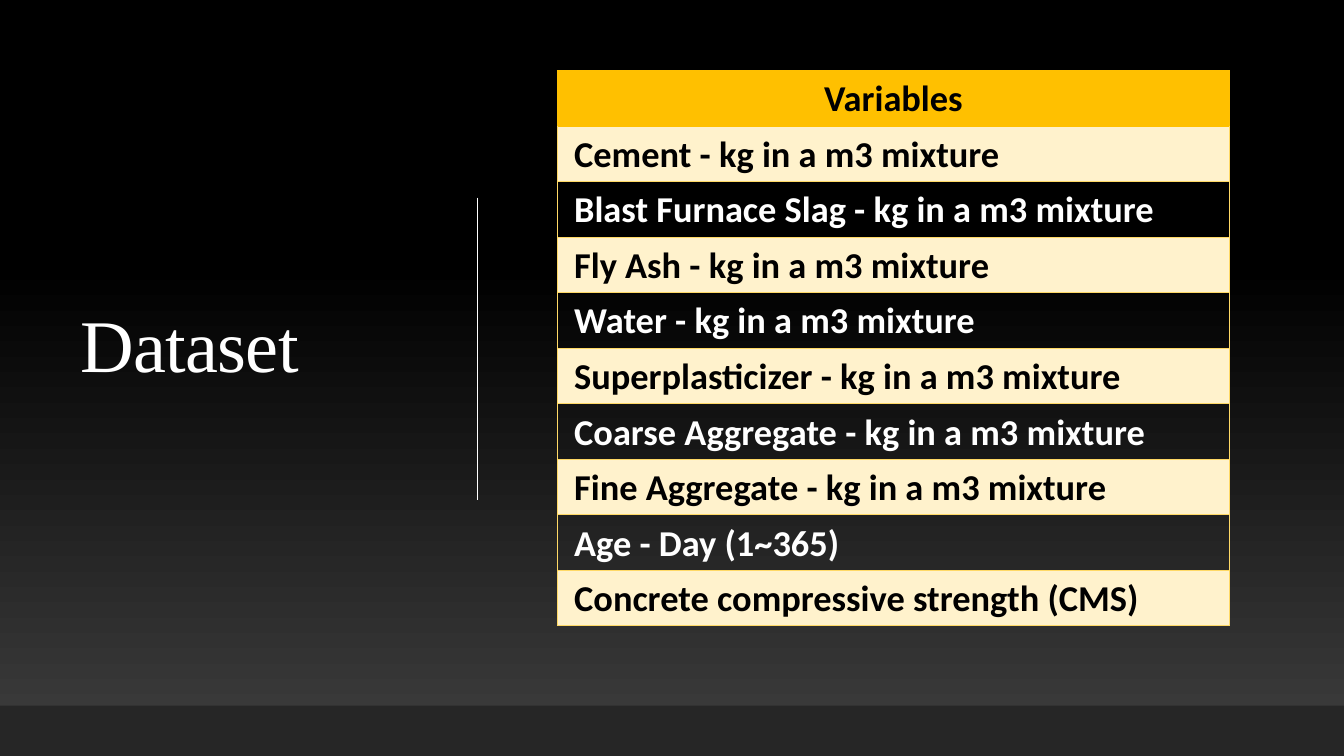
from dataclasses import dataclass

from lxml import etree
from pptx import Presentation
from pptx.dml.color import RGBColor
from pptx.dml.fill import FillFormat
from pptx.enum.shapes import MSO_CONNECTOR, MSO_SHAPE
from pptx.enum.text import MSO_ANCHOR, PP_ALIGN
from pptx.oxml.ns import qn
from pptx.shapes.autoshape import Shape
from pptx.slide import Slide
from pptx.table import _Cell
from pptx.text.text import Font
from pptx.util import Cm, Pt

LINE = MSO_CONNECTOR.STRAIGHT
RECT = MSO_SHAPE.RECTANGLE
MIDDLE = MSO_ANCHOR.MIDDLE
LEFT, CENTER = PP_ALIGN.LEFT, PP_ALIGN.CENTER

BLACK = RGBColor(0x00, 0x00, 0x00)
WHITE = RGBColor(0xFF, 0xFF, 0xFF)
GREY = RGBColor(0x3F, 0x3F, 0x3F)
DARK = RGBColor(0x26, 0x26, 0x26)
GOLD = RGBColor(0xFF, 0xC0, 0x00)
SAND = RGBColor(0xFF, 0xD9, 0x66)
CREAM = RGBColor(0xFF, 0xF2, 0xCC)

WIDTH, HEIGHT = Cm(33.87), Cm(19.05)
FOOT = Cm(1.27)
ROW = Cm(1.4)

TITLE_FONT = {"name": "Times New Roman", "size": Pt(53)}
CELL_FONT = {"name": "Calibri", "size": Pt(26), "bold": True}
CELL_BOX = {
    "margin_left": Cm(0.42),
    "margin_right": Cm(0.42),
    "margin_top": Cm(0.05),
    "margin_bottom": 0,
    "vertical_anchor": MIDDLE,
}
VARIABLES = (
    "Cement - kg in a m3 mixture",
    "Blast Furnace Slag - kg in a m3 mixture",
    "Fly Ash - kg in a m3 mixture",
    "Water - kg in a m3 mixture",
    "Superplasticizer - kg in a m3 mixture",
    "Coarse Aggregate - kg in a m3 mixture",
    "Fine Aggregate - kg in a m3 mixture",
    "Age - Day (1~365)",
    "Concrete compressive strength (CMS)",
)


@dataclass(frozen=True)
class Look:
    fill: RGBColor | None
    ink: RGBColor
    top: RGBColor = SAND
    edge: RGBColor = SAND
    align: PP_ALIGN = LEFT


HEAD = Look(GOLD, BLACK, GOLD, GOLD, CENTER)
FIRST = Look(CREAM, BLACK, GOLD)
LIGHT = Look(CREAM, BLACK)
CLEAR = Look(None, WHITE)


def apply(target: object, values: dict) -> None:
    for name, value in values.items():
        setattr(target, name, value)


def style(font: Font, values: dict, ink: RGBColor) -> None:
    apply(font, values)
    font.color.rgb = ink


def shade(fill: FillFormat) -> None:
    """Fade from grey at the bottom to black."""
    fill.gradient()
    fill.gradient_angle = 90
    for stop, (place, color) in zip(fill.gradient_stops, ((0, GREY), (0.65, BLACK))):
        stop.position = place
        stop.color.rgb = color


def add_rect(slide: Slide, top: int, height: int) -> Shape:
    """Add a plain rectangle across the full slide width."""
    rect = slide.shapes.add_shape(RECT, 0, top, WIDTH, height)
    rect.shadow.inherit = False
    rect.line.fill.background()
    return rect


def add_title(slide: Slide) -> None:
    box = slide.shapes.add_textbox(Cm(1.78), Cm(1.75), Cm(9.37), Cm(14.05))
    frame = box.text_frame
    apply(frame, {"word_wrap": True, "vertical_anchor": MIDDLE})
    para = frame.paragraphs[0]
    para.line_spacing = 0.9
    run = para.add_run()
    run.text = "Dataset"
    style(run.font, TITLE_FONT, WHITE)
    run.font._element.set("spc", "-50")


def add_rule(slide: Slide) -> None:
    left = Cm(12.04)
    rule = slide.shapes.add_connector(LINE, left, Cm(4.98), left, Cm(12.6))
    rule.line.color.rgb = WHITE
    rule.line.width = Pt(1)
    etree.SubElement(rule._element.spPr, qn("a:effectLst"))


def add_edges(cell: _Cell, look: Look) -> None:
    props = cell._tc.get_or_add_tcPr()
    edges = {"lnL": look.edge, "lnR": look.edge, "lnT": look.top, "lnB": look.edge}
    for tag, color in edges.items():
        line = etree.SubElement(props, qn(f"a:{tag}"), w=str(Pt(1)))
        solid = etree.SubElement(line, qn("a:solidFill"))
        etree.SubElement(solid, qn("a:srgbClr"), val=str(color))


def fill_cell(cell: _Cell, text: str, look: Look) -> None:
    apply(cell, CELL_BOX)
    add_edges(cell, look)
    if look.fill is None:
        cell.fill.background()
    else:
        cell.fill.solid()
        cell.fill.fore_color.rgb = look.fill
    para = cell.text_frame.paragraphs[0]
    para.alignment = look.align
    run = para.add_run()
    run.text = text
    style(run.font, CELL_FONT, look.ink)


def add_grid(slide: Slide) -> None:
    texts = ("Variables", *VARIABLES)
    count = len(texts)
    frame = slide.shapes.add_table(
        count, 1, Cm(14.05), Cm(1.78), Cm(16.94), ROW * count
    )
    table = frame.table
    apply(table, {"first_row": False, "horz_banding": False})
    for index, text in enumerate(texts):
        table.rows[index].height = ROW
        look = {0: HEAD, 1: FIRST}.get(index, LIGHT if index % 2 else CLEAR)
        fill_cell(table.cell(index, 0), text, look)


def main() -> None:
    deck = Presentation()
    apply(deck, {"slide_width": WIDTH, "slide_height": HEIGHT})
    slide = deck.slides.add_slide(deck.slide_layouts[6])
    shade(slide.background.fill)
    shade(add_rect(slide, 0, HEIGHT).fill)
    add_title(slide)
    add_rule(slide)
    foot = add_rect(slide, HEIGHT - FOOT, FOOT)
    foot.fill.solid()
    foot.fill.fore_color.rgb = DARK
    add_grid(slide)
    deck.save("out.pptx")


if __name__ == "__main__":
    main()
